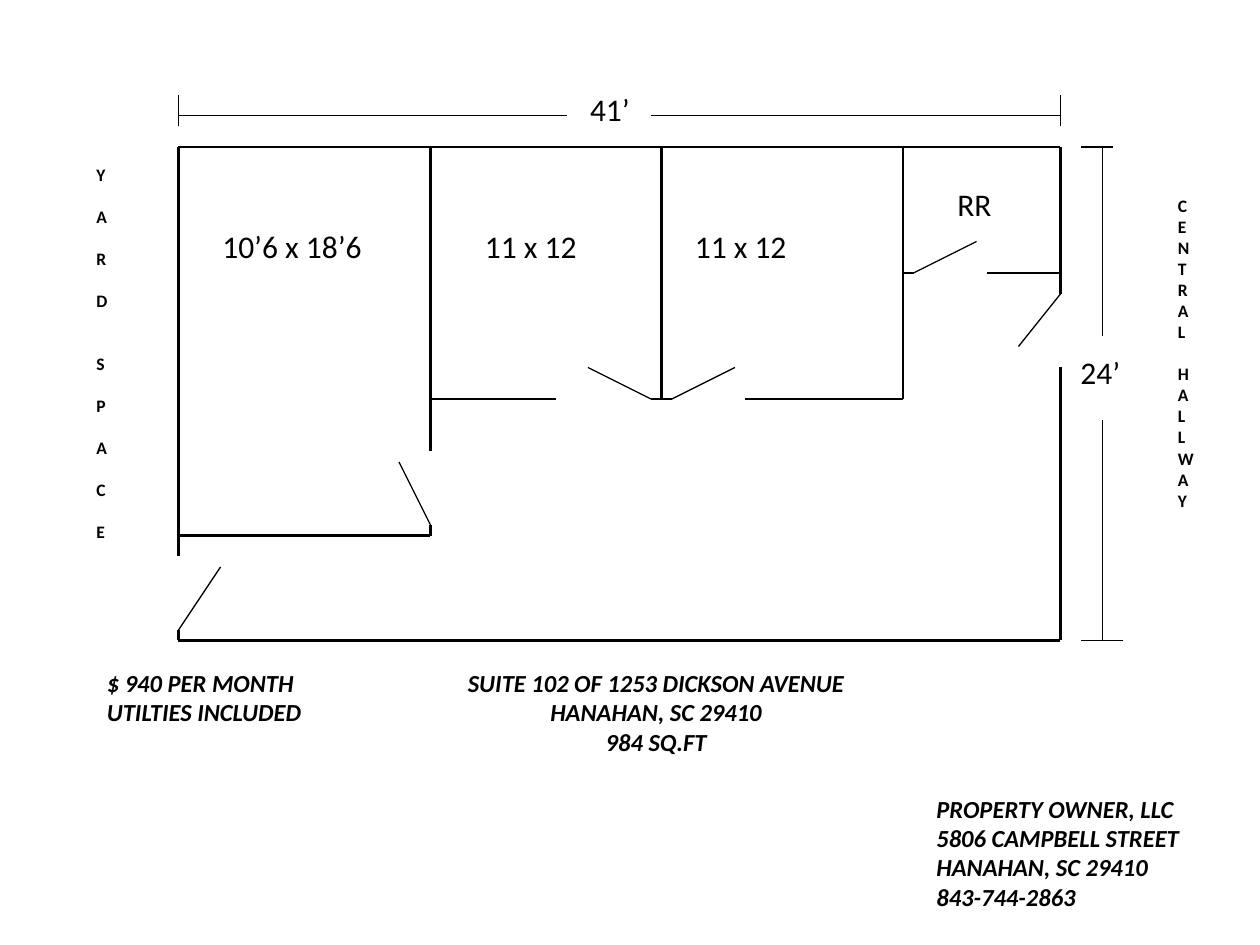
from typing import NamedTuple

from lxml.etree import SubElement
from pptx import Presentation
from pptx.dml.color import RGBColor
from pptx.enum.shapes import MSO_CONNECTOR as Connector
from pptx.enum.text import MSO_AUTO_SIZE as AutoSize, PP_ALIGN as Align
from pptx.oxml.ns import qn
from pptx.util import Cm, Length, Pt

COLORS = {"ink": "000000", "paper": "FFFFFF"}
FONT = "Calibri"
GRID_CM = 2.54 / 12  # the plan is drawn on a grid of 12 squares to the inch
WALL_PT, THIN_PT = 1.5, 0.75


class Segment(NamedTuple):
    """A straight stroke between two grid points."""
    x1: int
    y1: int
    x2: int
    y2: int


class Label(NamedTuple):
    """An 18 pt label on the plan, with its left inset in grid squares."""
    text: str
    left: int
    top: int
    inset: float = 1.2


class SideSign(NamedTuple):
    """Words written downwards; gaps are in points."""
    words: str
    left: int
    top: int
    height: float
    letter_gap: float
    word_gap: float


class Note(NamedTuple):
    """A block of bold italic lines below the plan."""
    lines: str
    left: int
    top: int
    width: float
    height: float
    align: Align = Align.LEFT


WEST, OFFICE_1, OFFICE_2, RESTROOM, EAST = 17, 41, 63, 86, 101
NORTH, RR_SOUTH, OFFICE_SOUTH, ROOM_SOUTH, SOUTH = 14, 26, 38, 51, 61
WIDTH_LINE, DEPTH_LINE = 11, 105

WALLS = [
    Segment(WEST, NORTH, WEST, 53),
    Segment(WEST, NORTH, EAST, NORTH),
    Segment(EAST, NORTH, EAST, 28),
    Segment(EAST, 35, EAST, SOUTH),
    Segment(WEST, SOUTH, EAST, SOUTH),
    Segment(94, RR_SOUTH, EAST, RR_SOUTH),
    Segment(RESTROOM, NORTH, RESTROOM, OFFICE_SOUTH),
    Segment(RESTROOM, OFFICE_SOUTH, 71, OFFICE_SOUTH),
    Segment(OFFICE_2, NORTH, OFFICE_2, OFFICE_SOUTH),
    Segment(OFFICE_1, NORTH, OFFICE_1, 43),
    Segment(OFFICE_1, OFFICE_SOUTH, 53, OFFICE_SOUTH),
    Segment(62, OFFICE_SOUTH, 64, OFFICE_SOUTH),
    Segment(WEST, ROOM_SOUTH, OFFICE_1, ROOM_SOUTH),
    Segment(OFFICE_1, ROOM_SOUTH, OFFICE_1, 50),
    Segment(WEST, SOUTH, WEST, 60),
    Segment(RESTROOM, RR_SOUTH, 87, RR_SOUTH),
]
DOORS = [
    Segment(WEST, 60, 21, 54),
    Segment(64, OFFICE_SOUTH, 70, 35),
    Segment(87, RR_SOUTH, 93, 23),
    Segment(OFFICE_1, 50, 38, 44),
    Segment(62, OFFICE_SOUTH, 56, 35),
    Segment(EAST, 28, 97, 33),
]
DIMENSIONS = [
    Segment(WEST, 12, WEST, 9),
    Segment(EAST, 12, EAST, 9),
    Segment(WEST, WIDTH_LINE, 54, WIDTH_LINE),
    Segment(62, WIDTH_LINE, EAST, WIDTH_LINE),
    Segment(103, NORTH, 106, NORTH),
    Segment(103, SOUTH, 107, SOUTH),
    Segment(DEPTH_LINE, 32, DEPTH_LINE, NORTH),
    Segment(DEPTH_LINE, 40, DEPTH_LINE, SOUTH),
]
LABELS = [
    Label("10’6 x 18’6", 20, 21),
    Label("11 x 12", 45, 21),
    Label("11 x 12", 65, 21),
    Label("RR", 90, 17),
    Label("41’", 53, 8, inset=3.2),
    Label("24’", 99, 33, inset=3.9),
]
SIDE_SIGNS = [
    SideSign("YARD SPACE", 8, 15, 37.5, letter_gap=12, word_gap=24),
    SideSign("CENTRAL HALLWAY", 111, 18, 31.5, letter_gap=0, word_gap=12),
]
NOTES = [
    Note("PROPERTY OWNER, LLC\n5806 CAMPBELL STREET\nHANAHAN, SC 29410\n843-744-2863",
         88, 75, 31, 12.5),
    Note("SUITE 102 OF 1253 DICKSON AVENUE\nHANAHAN, SC 29410\n984 SQ.FT",
         42, 63, 41, 9.7, Align.CENTER),
    Note("$ 940 PER MONTH\nUTILTIES INCLUDED", 9, 63, 41, 6.8),
]


def grid(squares: float) -> Length:
    """Turn grid squares into a length."""
    return Cm(squares * GRID_CM)


def draw_segments(shapes, segments: list[Segment], weight: float) -> None:
    """Draw strokes of one weight."""
    for segment in segments:
        stroke = shapes.add_connector(Connector.STRAIGHT, *map(grid, segment))
        stroke.line.color.rgb = RGBColor.from_string(COLORS["ink"])
        stroke.line.width = Pt(weight)
        SubElement(stroke._element.spPr, qn("a:effectLst"))


def add_text(shapes, text: str, *, left: float, top: float, width: float,
             height: float, size: float, bold: bool = False, italic: bool = False,
             align: Align = Align.LEFT, inset: float = 1.2,
             gaps: list[float] | None = None) -> None:
    """Write a text box, one paragraph a line, with optional gaps above them."""
    box = shapes.add_textbox(*map(grid, (left, top, width, height)))
    frame = box.text_frame
    frame.word_wrap = True
    frame.auto_size = AutoSize.SHAPE_TO_FIT_TEXT
    frame.margin_left = grid(inset)
    frame.text = text
    for index, line in enumerate(frame.paragraphs):
        line.alignment = align
        line.space_before = Pt(gaps[index] if gaps else 0)
        font = line.runs[0].font
        font.name, font.size = FONT, Pt(size)
        font.bold, font.italic = bold, italic
        font.color.rgb = RGBColor.from_string(COLORS["ink"])


def add_side_sign(shapes, sign: SideSign) -> None:
    """Write words downwards, one letter a line."""
    gaps = []
    for word in sign.words.split():
        gaps += [sign.word_gap if gaps else 0]
        gaps += [sign.letter_gap] * (len(word) - 1)
    letters = "\n".join(sign.words.replace(" ", ""))
    # Wider word gaps include the letter gap they replace.
    add_text(shapes, letters, left=sign.left, top=sign.top, width=3,
             height=sign.height, size=10, bold=True, gaps=gaps)


def build() -> None:
    """Build the floor plan and save it."""
    deck = Presentation()
    deck.slide_width, deck.slide_height = Cm(25.4), Cm(19.05)
    plan = deck.slides.add_slide(deck.slide_layouts[6])
    plan.background.fill.solid()
    plan.background.fill.fore_color.rgb = RGBColor.from_string(COLORS["paper"])
    shapes = plan.shapes

    draw_segments(shapes, WALLS, WALL_PT)
    draw_segments(shapes, DOORS + DIMENSIONS, THIN_PT)
    for label in LABELS:
        add_text(shapes, label.text, left=label.left, top=label.top,
                 width=18, height=4.8, size=18, inset=label.inset)
    for sign in SIDE_SIGNS:
        add_side_sign(shapes, sign)
    for note in NOTES:
        add_text(shapes, note.lines, left=note.left, top=note.top,
                 width=note.width, height=note.height, size=14,
                 bold=True, italic=True, align=note.align)
    deck.save("out.pptx")


build()
